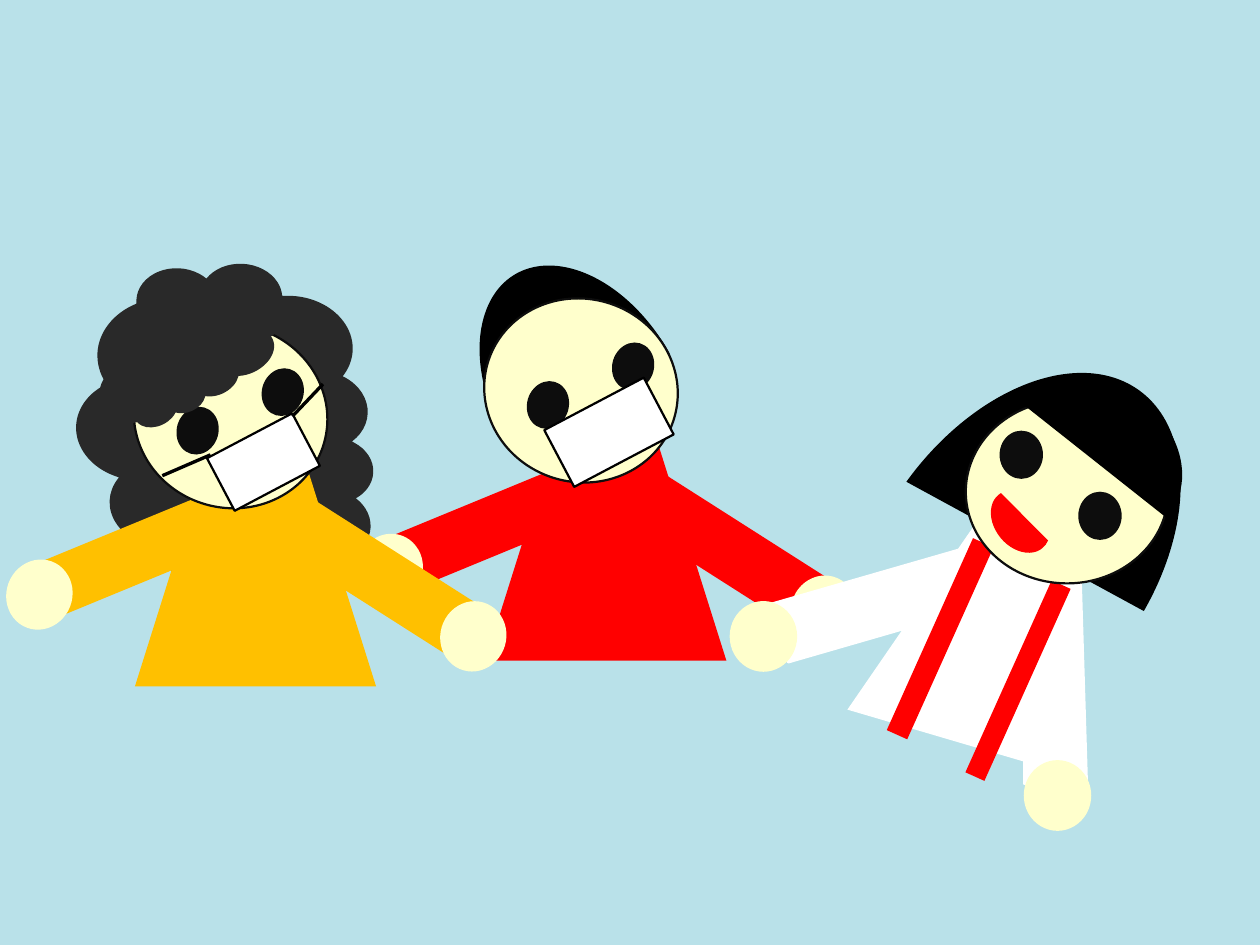
from dataclasses import dataclass

from lxml import etree
from pptx import Presentation
from pptx.dml.color import RGBColor
from pptx.enum.shapes import MSO_CONNECTOR, MSO_SHAPE
from pptx.oxml.ns import qn
from pptx.util import Inches, Pt

ELLIPSE = MSO_SHAPE.OVAL
RECT = MSO_SHAPE.RECTANGLE
CHORD = MSO_SHAPE.CHORD
CLOUD = MSO_SHAPE.CLOUD
TRAPEZOID = MSO_SHAPE.TRAPEZOID

SKY = RGBColor(0xB9, 0xE1, 0xE9)
SKIN = RGBColor(0xFF, 0xFF, 0xCC)
INK = RGBColor(0x0D, 0x0D, 0x0D)
CURLS = RGBColor(0x29, 0x29, 0x29)
BLACK = RGBColor(0x00, 0x00, 0x00)
WHITE = RGBColor(0xFF, 0xFF, 0xFF)
RED = RGBColor(0xFF, 0x00, 0x00)
AMBER = RGBColor(0xFF, 0xC0, 0x00)

HAIR_CUT = (53.99, 164.94)
MOUTH_CUT = (49.9, 164.94)


@dataclass(frozen=True)
class Part:
    kind: MSO_SHAPE
    left: float
    top: float
    width: float
    height: float
    fill: RGBColor
    rotation: float = 0
    adjust: tuple[float, ...] = ()
    outline: RGBColor | None = None


def masked_body(shirt: RGBColor, x: float, y: float) -> list[Part]:
    """Arms, shirt, face and eyes, moved by x and y."""
    return [
        Part(RECT, x + 4.32, y + 2.77, 0.37, 1.27, shirt, 302.5),
        Part(RECT, x + 2.85, y + 2.65, 0.36, 1.27, shirt, 67.6),
        Part(TRAPEZOID, x + 3.02, y + 2.42, 1.5, 1.69, shirt, 0, (0.355,)),
        Part(ELLIPSE, x + 3.01, y + 1.86, 1.21, 1.14, SKIN, 16.4, outline=INK),
        Part(ELLIPSE, x + 3.81, y + 2.13, 0.26, 0.3, INK, 16.4),
        Part(ELLIPSE, x + 3.28, y + 2.37, 0.26, 0.3, INK, 16.4),
    ]


def hands_and_mouth(x: float, y: float) -> list[Part]:
    return [
        Part(ELLIPSE, x + 4.92, y + 3.58, 0.41, 0.44, SKIN, 16.4),
        Part(ELLIPSE, x + 2.22, y + 3.32, 0.41, 0.44, SKIN, 20.6),
        Part(CHORD, x + 3.71, y + 2.53, 0.26, 0.37, RED, 238.3, MOUTH_CUT),
    ]


CURLY_SHIFT = (-2.18, 0.16)

SHORT_HAIRED = [
    Part(CHORD, 2.78, 1.88, 1.74, 1.15, BLACK, 59, HAIR_CUT),
    *masked_body(RED, 0, 0),
    *hands_and_mouth(0, 0),
]
CURLY_HAIRED = [
    Part(CLOUD, 0.38, 1.74, 2.06, 1.86, CURLS, 92.7),
    *masked_body(AMBER, *CURLY_SHIFT),
    Part(CLOUD, 0.57, 1.89, 1.23, 0.64, CURLS, 155),
    *hands_and_mouth(*CURLY_SHIFT),
]
SMILING = [
    Part(RECT, 5.3, 3.09, 0.38, 1.33, WHITE, 73.9, outline=WHITE),
    Part(RECT, 6.37, 3.69, 0.34, 1.19, WHITE, outline=WHITE),
    Part(CHORD, 5.01, 2.65, 2.62, 1.68, BLACK, 125.9, (53.99, 153.28)),
    Part(TRAPEZOID, 5.48, 2.98, 1.56, 1.69, WHITE, 16.4, (0.355,)),
    Part(RECT, 6.27, 3.58, 0.13, 1.31, RED, 24.2),
    Part(RECT, 5.78, 3.32, 0.14, 1.31, RED, 24.2),
    Part(ELLIPSE, 6.01, 2.49, 1.26, 1.14, SKIN, outline=INK),
    Part(CHORD, 6.36, 2.26, 0.91, 1.16, BLACK, 125.9, HAIR_CUT),
    Part(ELLIPSE, 6.22, 2.68, 0.27, 0.3, INK),
    Part(ELLIPSE, 6.71, 3.06, 0.27, 0.3, INK),
    Part(CHORD, 6.19, 3.03, 0.32, 0.43, RED, 320.6, (44.27, 164.94)),
    Part(ELLIPSE, 4.54, 3.74, 0.42, 0.44, SKIN),
]
MASKS = [
    Part(RECT, 3.44, 2.49, 0.7, 0.4, WHITE, 332.2, outline=BLACK),
    Part(RECT, 1.34, 2.69, 0.6, 0.37, WHITE, 332.2, outline=BLACK),
]
MASK_STRAPS = [(1.01, 2.96, 1.31, 2.83), (1.82, 2.59, 2.01, 2.39)]
LOWERED_HAND = Part(ELLIPSE, 6.37, 4.73, 0.42, 0.44, SKIN)


def draw_part(shapes, part: Part) -> None:
    box = (part.left, part.top, part.width, part.height)
    sp = shapes.add_shape(part.kind, *map(Inches, box))
    sp.shadow.inherit = False
    sp.rotation = part.rotation
    for i, value in enumerate(part.adjust):
        sp.adjustments[i] = value
    sp.fill.solid()
    sp.fill.fore_color.rgb = part.fill
    if part.outline is None:
        sp.line.fill.background()
    else:
        sp.line.color.rgb = part.outline
        sp.line.width = Pt(1)


def draw_strap(shapes, ends: tuple[float, float, float, float]) -> None:
    strap = shapes.add_connector(MSO_CONNECTOR.STRAIGHT, *map(Inches, ends))
    strap.line.color.rgb = BLACK
    strap.line.width = Pt(1.5)
    etree.SubElement(strap._element.spPr, qn("a:effectLst"))


def main() -> None:
    prs = Presentation()
    prs.slide_width, prs.slide_height = Inches(7.84), Inches(5.88)
    s = prs.slides.add_slide(prs.slide_layouts[6])
    s.background.fill.solid()
    s.background.fill.fore_color.rgb = SKY

    for child in (SHORT_HAIRED, CURLY_HAIRED, SMILING):
        group = s.shapes.add_group_shape()
        for part in child:
            draw_part(group.shapes, part)
    for mask in MASKS:
        draw_part(s.shapes, mask)
    for ends in MASK_STRAPS:
        draw_strap(s.shapes, ends)
    draw_part(s.shapes, LOWERED_HAND)

    prs.save("out.pptx")


if __name__ == "__main__":
    main()
